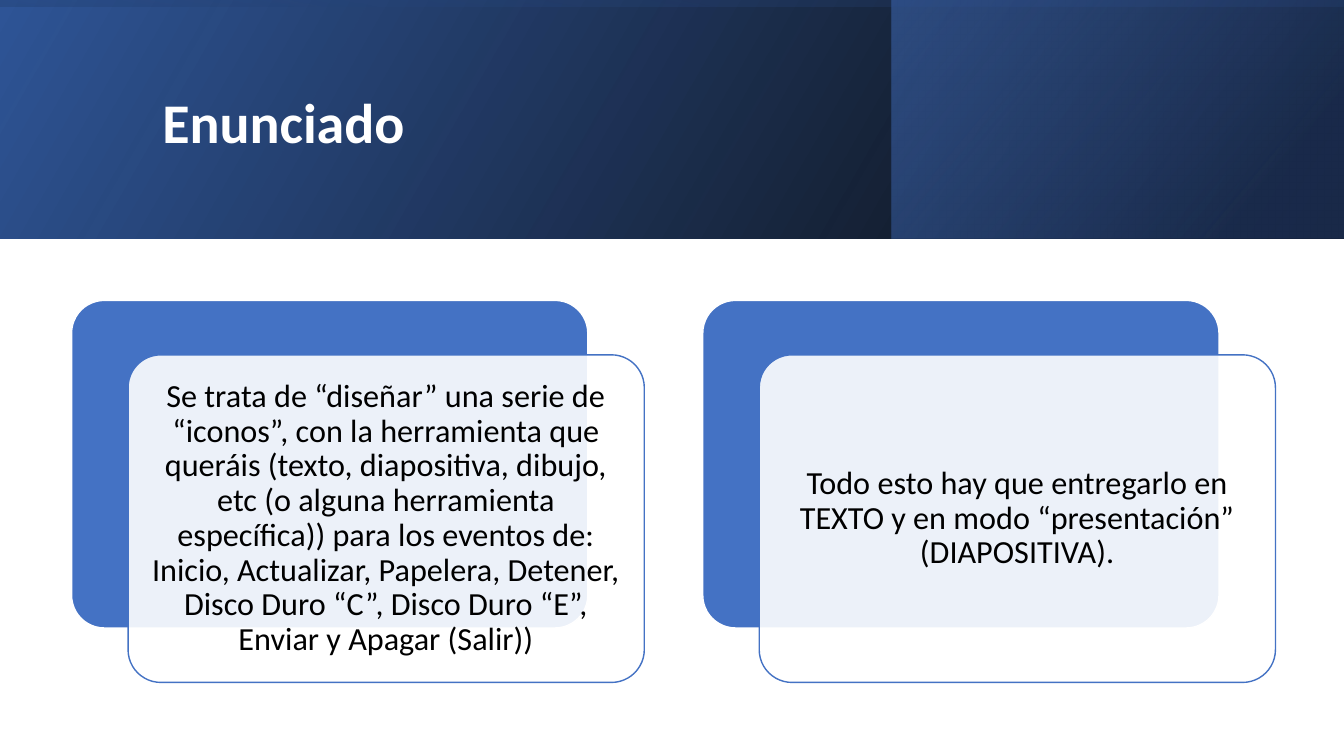
import dataclasses
import typing

import pptx
import pptx.dml.color
import pptx.enum.shapes
import pptx.enum.text
import pptx.oxml
import pptx.oxml.ns
import pptx.util

Inch = pptx.util.Inches
Color = pptx.dml.color.RGBColor
Kind = pptx.enum.shapes.MSO_SHAPE
Align = pptx.enum.text.PP_ALIGN
Anchor = pptx.enum.text.MSO_ANCHOR

WIDE, HIGH = 13.33, 7.5
HEAD = 2.37                      # height of the header band
CARD_W, CARD_H = 5.12, 3.25
LEFT, TOP, PITCH = 0.71, 2.98, 6.26
STEP_X, STEP_Y = 0.56, 0.54      # shift of a front card from its back card
FONT = "Calibri"

WHITE = Color(0xFF, 0xFF, 0xFF)
BLACK = Color(0, 0, 0)
BLUE = Color(0x44, 0x72, 0xC4)
DEEP = Color(0x2F, 0x55, 0x97)
NAVY = Color(0x20, 0x38, 0x64)


class Box(typing.NamedTuple):
    """Left, top, width and height in inches."""
    left: float
    top: float
    wide: float
    high: float


class Stop(typing.NamedTuple):
    """Gradient stop: place and opacity as shares of one."""
    place: float
    color: Color
    alpha: float


@dataclasses.dataclass
class Band:
    """Header layer with a mirrored gradient."""
    box: Box
    angle: float                 # counter-clockwise degrees
    stops: tuple[Stop, Stop]
    turn: float = 0


BANDS = (
    Band(Box(0, 0, WIDE, HEAD), 30,
         (Stop(0, BLACK, 0.96), Stop(1, DEEP, 1))),
    Band(Box(8.84, 0, WIDE - 8.84, HEAD), 40,
         (Stop(0.19, NAVY, 0.68), Stop(1, BLUE, 0.48))),
    Band(Box((WIDE - HEAD) / 2, (HEAD - WIDE) / 2, HEAD, WIDE), 10,
         (Stop(0.23, DEEP, 0.16), Stop(0.99, BLACK, 0.45)), 270),
)

CARDS = (
    "Se trata de “diseñar” una serie de “iconos”, con la herramienta que "
    "queráis (texto, diapositiva, dibujo, etc (o alguna herramienta "
    "específica)) para los eventos de: Inicio, Actualizar, Papelera, "
    "Detener, Disco Duro “C”, Disco Duro “E”, Enviar y Apagar (Salir))",
    "Todo esto hay que entregarlo en TEXTO y en modo “presentación” "
    "(DIAPOSITIVA).",
)


def fade(shape, alphas: typing.Iterable[float]) -> None:
    """Set the opacity of the fill colours, in order."""
    tag = pptx.oxml.ns.qn("a:srgbClr")
    name = pptx.oxml.ns.nsdecls("a")
    for node, alpha in zip(shape._element.spPr.iter(tag), alphas):
        if alpha < 1:
            node.append(pptx.oxml.parse_xml(
                f'<a:alpha {name} val="{round(alpha * 100000)}"/>'))


def add(slide, kind: Kind, box: Box):
    """Add a preset shape without a shadow."""
    shape = slide.shapes.add_shape(kind, *map(Inch, box))
    shape.shadow.inherit = False
    return shape


def draw_band(slide, band: Band) -> None:
    """Draw one gradient layer of the header."""
    shape = add(slide, Kind.RECTANGLE, band.box)
    shape.rotation = band.turn
    shape._element.spPr.xfrm.set("flipH", "1")
    shape.line.fill.background()
    shape.fill.gradient()
    shape.fill.gradient_angle = band.angle
    for part, stop in zip(shape.fill.gradient_stops, band.stops):
        part.color.rgb = stop.color
        part.position = stop.place
    fade(shape, [stop.alpha for stop in band.stops])


def write(frame, text: str, size: float, color: Color, align: Align,
          bold: bool = False) -> None:
    """Write one run in a wrapped, vertically centred frame."""
    frame.word_wrap = True
    frame.auto_size = pptx.enum.text.MSO_AUTO_SIZE.NONE
    frame.vertical_anchor = Anchor.MIDDLE
    para = frame.paragraphs[0]
    para.alignment = align
    para.line_spacing = 0.9
    run = para.add_run()
    run.text = text
    run.font.name = FONT
    run.font.size = pptx.util.Pt(size)
    run.font.bold = bold
    run.font.color.rgb = color


def draw_panel(slide, box: Box, fill: Color, line: Color):
    """Draw a rounded panel with a thin outline."""
    panel = add(slide, Kind.ROUNDED_RECTANGLE, box)
    panel.adjustments[0] = 0.1
    panel.fill.solid()
    panel.fill.fore_color.rgb = fill
    panel.line.color.rgb = line
    panel.line.width = pptx.util.Pt(1)
    return panel


def draw_card(slide, left: float, text: str) -> None:
    """Draw a blue back panel and the text panel over it."""
    draw_panel(slide, Box(left, TOP, CARD_W, CARD_H), BLUE, WHITE)
    front = draw_panel(
        slide, Box(left + STEP_X, TOP + STEP_Y, CARD_W, CARD_H), WHITE, BLUE)
    fade(front, [0.9])
    frame = front.text_frame
    frame.margin_left = frame.margin_right = Inch(0.1)
    frame.margin_top = frame.margin_bottom = Inch(0.1)
    write(frame, text, 23, BLACK, Align.CENTER)


def draw_title(slide, text: str) -> None:
    """Place the title over the header layers."""
    title = slide.shapes.title
    title.left, title.top, title.width, title.height = map(
        Inch, Box(1.51, 0.38, 10.63, 1.72))
    slide.shapes._spTree.append(title._element)
    write(title.text_frame, text, 40, WHITE, Align.LEFT, True)


def main() -> None:
    """Build and save the slide."""
    deck = pptx.Presentation()
    deck.slide_width, deck.slide_height = Inch(WIDE), Inch(HIGH)
    slide = deck.slides.add_slide(deck.slide_layouts.get_by_name("Title Only"))
    for band in BANDS:
        draw_band(slide, band)
    draw_title(slide, "Enunciado")
    for col, text in enumerate(CARDS):
        draw_card(slide, LEFT + col * PITCH, text)
    deck.save("out.pptx")


main()
